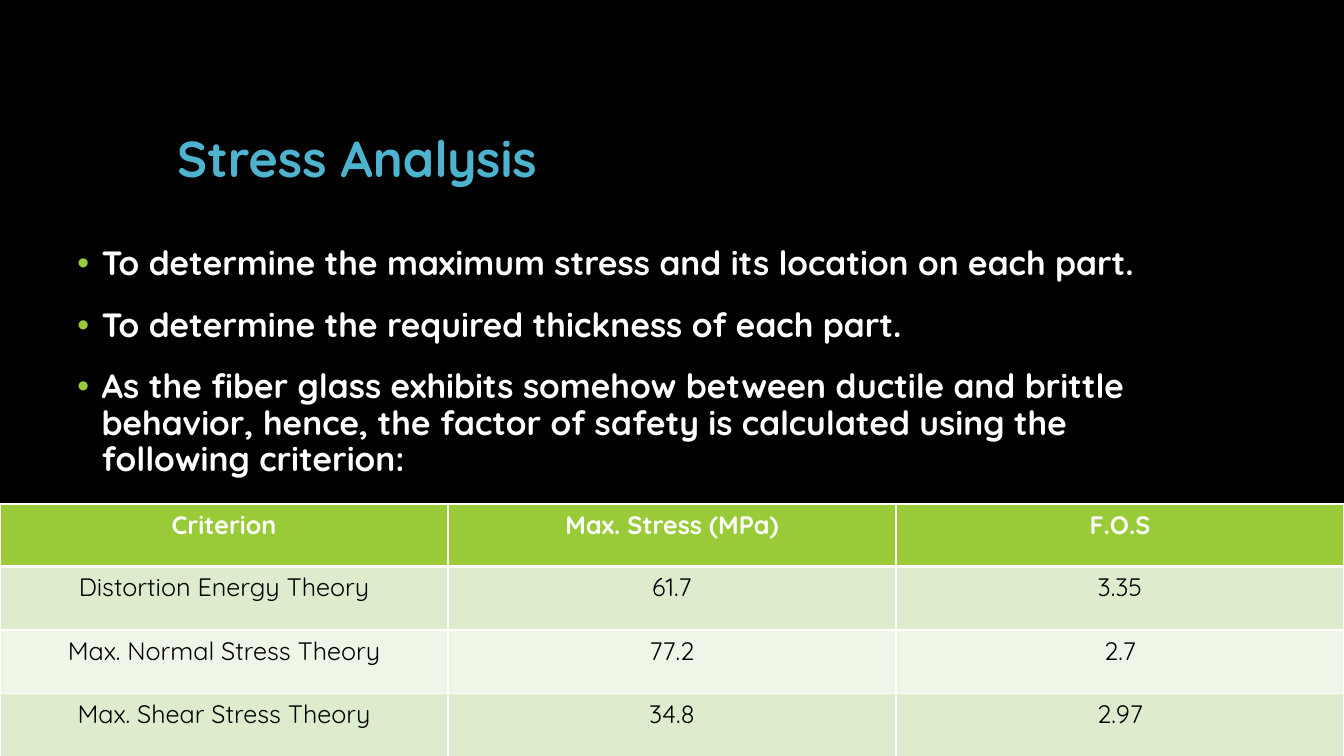
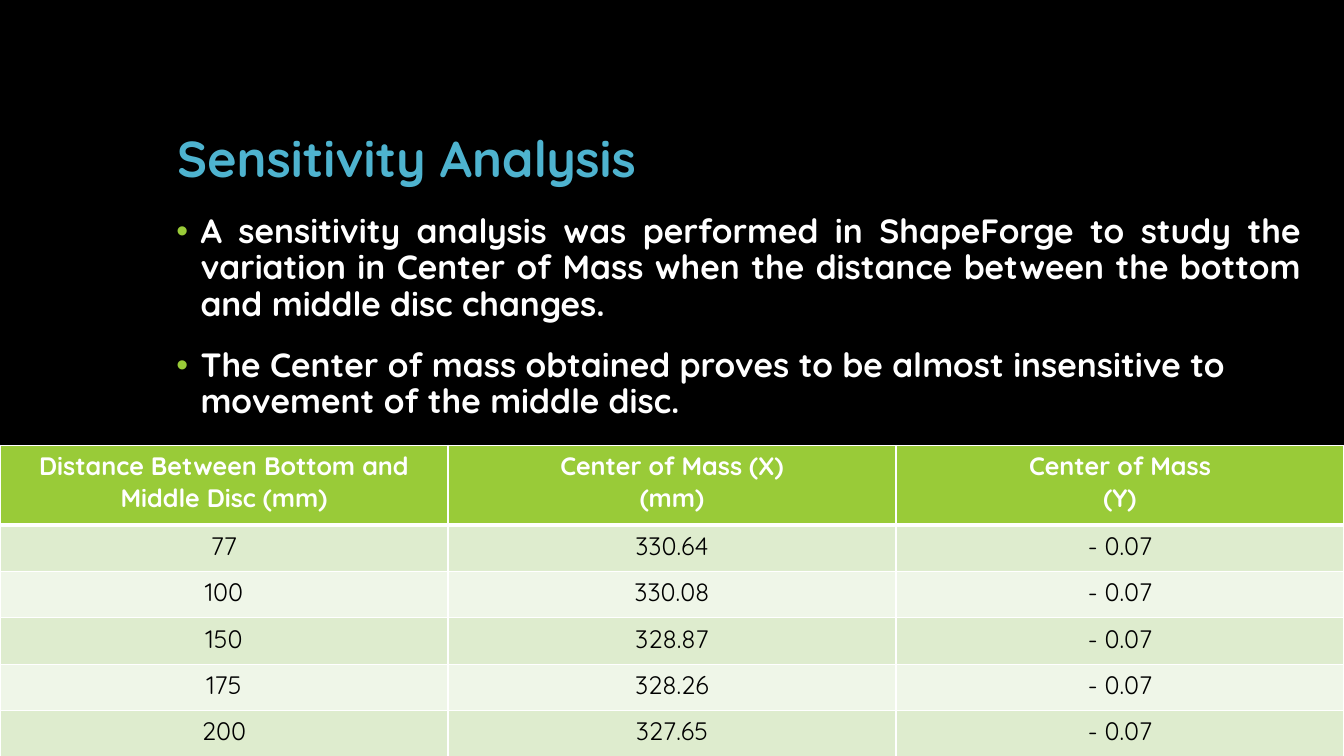
from dataclasses import dataclass

from lxml import etree
from pptx import Presentation
from pptx.dml.color import RGBColor
from pptx.enum import text as t
from pptx.oxml import ns
from pptx.util import Inches, Pt

WIDE, HIGH = 13.33, 7.5


@dataclass(frozen=True)
class Theme:
    font: str = "Quicksand"
    back: str = "000000"
    title: str = "4EB3CF"
    light: str = "FFFFFF"
    dark: str = "000000"
    accent: str = "99CB38"
    bands: tuple[str, str] = ("DEECCE", "EFF6E8")
    head_size: int = 36
    body_size: int = 24
    cell_size: int = 18
    thin: int = 1
    thick: int = 3


@dataclass(frozen=True)
class Point:
    words: str
    align: t.PP_ALIGN = t.PP_ALIGN.LEFT


@dataclass(frozen=True)
class Grid:
    top: float
    head: float
    row: float
    cells: list[list[str]]


@dataclass(frozen=True)
class Page:
    title: str
    left: float
    top: float
    width: float
    points: list[Point]
    grid: Grid


THEME = Theme()

PAGES = [
    Page(
        "Stress Analysis", 0.67, 2.4, 11.55,
        [
            Point("To determine the maximum stress and its location on each part."),
            Point("To determine the required thickness of each part."),
            Point("As the fiber glass exhibits somehow between ductile and brittle "
                  "behavior, hence, the factor of safety is calculated using the "
                  "following criterion:"),
        ],
        Grid(5, 0.62, 0.63, [
            ["Criterion", "Max. Stress (MPa)", "F.O.S"],
            ["Distortion Energy Theory", "61.7", "3.35"],
            ["Max. Normal Stress Theory", "77.2", "2.7"],
            ["Max. Shear Stress Theory", "34.8", "2.97"],
        ]),
    ),
    Page(
        "Sensitivity Analysis", 1.65, 2.08, 11.35,
        [
            Point("A sensitivity analysis was performed in ShapeForge to study the "
                  "variation in Center of Mass when the distance between the bottom "
                  "and middle disc changes.", t.PP_ALIGN.JUSTIFY),
            Point("The Center of mass obtained proves to be almost insensitive to "
                  "movement of the middle disc."),
        ],
        Grid(4.42, 0.79, 0.46, [
            ["Distance Between Bottom and Middle Disc (mm)",
             "Center of Mass (X)\n(mm)", "Center of Mass\n(Y)"],
            ["77", "330.64", "- 0.07"],
            ["100", "330.08", "- 0.07"],
            ["150", "328.87", "- 0.07"],
            ["175", "328.26", "- 0.07"],
            ["200", "327.65", "- 0.07"],
        ]),
    ),
]


def style(para, size: int, color: str, bold: bool = True) -> None:
    font = para.font
    font.name, font.size, font.bold = THEME.font, Pt(size), bold
    font.color.rgb = RGBColor.from_string(color)


def add_frame(slide, left: float, top: float, width: float, height: float):
    box = slide.shapes.add_textbox(*map(Inches, (left, top, width, height)))
    box.text_frame.word_wrap = True
    return box.text_frame


def add_title(slide, words: str) -> None:
    frame = add_frame(slide, 1.66, 0.42, 10, 1.5)
    frame.vertical_anchor = t.MSO_ANCHOR.BOTTOM
    para = frame.paragraphs[0]
    para.text = words
    para.line_spacing = 0.9
    style(para, THEME.head_size, THEME.title)


def add_bullet(para) -> None:
    props = para._p.get_or_add_pPr()
    hang = Inches(0.24)
    props.set("marL", str(hang))
    props.set("indent", str(-hang))
    color = etree.SubElement(props, ns.qn("a:buClr"))
    etree.SubElement(color, ns.qn("a:srgbClr"), val=THEME.accent)
    etree.SubElement(props, ns.qn("a:buFont"), typeface="Arial")
    etree.SubElement(props, ns.qn("a:buChar"), char="•")


def add_points(slide, page: Page) -> None:
    frame = add_frame(slide, page.left, page.top, page.width, page.grid.top - page.top)
    for i, point in enumerate(page.points):
        para = frame.add_paragraph() if i else frame.paragraphs[0]
        para.text = point.words
        add_bullet(para)
        para.alignment = point.align
        para.line_spacing = 0.9
        para.space_before = Pt(18 if i else 0)
        style(para, THEME.body_size, THEME.light)


def add_edges(cell, top: int, bottom: int) -> None:
    """Draw the cell borders; top and bottom are widths in points."""
    props = cell._tc.get_or_add_tcPr()
    sides = {"lnL": THEME.thin, "lnR": THEME.thin, "lnT": top, "lnB": bottom}
    for i, (side, width) in enumerate(sides.items()):
        line = etree.Element(ns.qn(f"a:{side}"), w=str(Pt(width)))
        fill = etree.SubElement(line, ns.qn("a:solidFill"))
        etree.SubElement(fill, ns.qn("a:srgbClr"), val=THEME.light)
        props.insert(i, line)


def fill_cell(cell, words: str, row: int) -> None:
    head = row == 0
    cell.text = words
    cell.fill.solid()
    back = THEME.accent if head else THEME.bands[(row - 1) % 2]
    cell.fill.fore_color.rgb = RGBColor.from_string(back)
    add_edges(cell, THEME.thick if row == 1 else THEME.thin,
              THEME.thick if head else THEME.thin)
    for para in cell.text_frame.paragraphs:
        para.alignment = t.PP_ALIGN.CENTER
        style(para, THEME.cell_size, THEME.light if head else THEME.dark, head)


def add_grid(slide, grid: Grid) -> None:
    rows, cols = len(grid.cells), len(grid.cells[0])
    height = grid.head + grid.row * (rows - 1)
    table = slide.shapes.add_table(
        rows, cols, 0, Inches(grid.top), Inches(WIDE), Inches(height)).table
    table.horz_banding = False
    for r, line in enumerate(grid.cells):
        table.rows[r].height = Inches(grid.row if r else grid.head)
        for c, words in enumerate(line):
            fill_cell(table.cell(r, c), words, r)


def add_page(deck, page: Page) -> None:
    slide = deck.slides.add_slide(deck.slide_layouts[6])
    fill = slide.background.fill
    fill.solid()
    fill.fore_color.rgb = RGBColor.from_string(THEME.back)
    add_title(slide, page.title)
    add_points(slide, page)
    add_grid(slide, page.grid)


def main() -> None:
    deck = Presentation()
    deck.slide_width, deck.slide_height = Inches(WIDE), Inches(HIGH)
    for page in PAGES:
        add_page(deck, page)
    deck.save("out.pptx")


if __name__ == "__main__":
    main()
